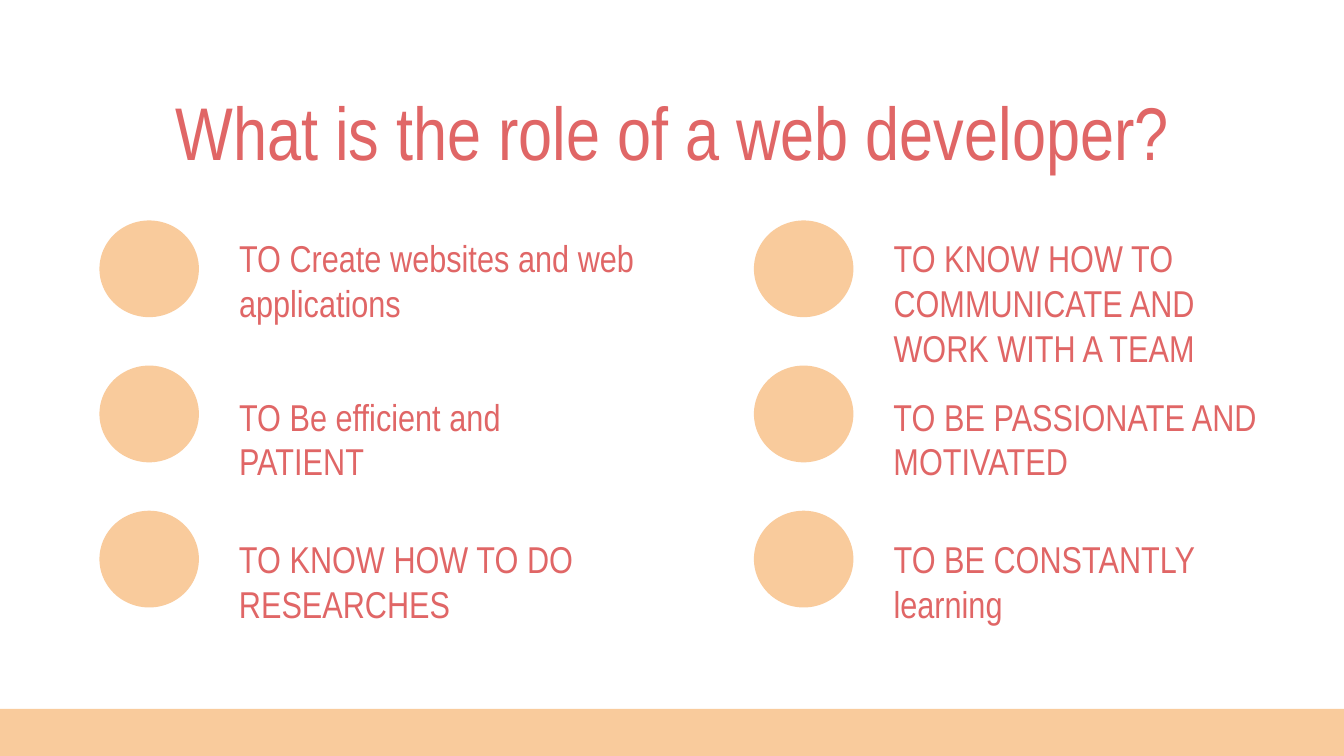
import pptx
import pptx.util
import pptx.dml.color
import pptx.enum.shapes
import pptx.enum.text

Inches = pptx.util.Inches
SHAPES = pptx.enum.shapes.MSO_SHAPE
ALIGN = pptx.enum.text.PP_ALIGN
WIDTH = 10
HEIGHT = WIDTH * 9 / 16
CORAL, PEACH, WHITE = "E06666", "F9CB9C", "FFFFFF"
FONT = "Arial Narrow"

ROW_TOP, ROW_STEP = 1.64, 1.08
DOT_WIDTH, DOT_HEIGHT = 0.74, 0.72
TEXT_INDENT = 0.94
TEXT_DROPS = (0.01, 0.11, 0.09)
TEXT_HEIGHTS = (0.73, 0.43, 0.43)

COLUMNS = (
    (0.74, (
        ("TO Create websites and web applications", 3.42),
        ("TO Be efficient and PATIENT", 2.91),
        ("TO KNOW HOW TO DO RESEARCHES", 3.03),
    )),
    (5.61, (
        ("TO KNOW HOW TO COMMUNICATE AND WORK WITH A TEAM", 2.91),
        ("TO BE PASSIONATE AND MOTIVATED", 3.13),
        ("TO BE CONSTANTLY learning", 2.91),
    )),
)


def set_fill(fill, color):
    """Apply a solid hex colour to a fill."""
    fill.solid()
    fill.fore_color.rgb = pptx.dml.color.RGBColor.from_string(color)


def add_block(slide, kind, box, color):
    """Add a plain filled shape without outline or shadow."""
    shape = slide.shapes.add_shape(kind, *map(Inches, box))
    shape.shadow.inherit = False
    set_fill(shape.fill, color)
    shape.line.fill.background()


def add_text(slide, box, text, size, align=ALIGN.LEFT, space_after=0):
    """Add a wrapped, top-anchored text box with one run."""
    frame = slide.shapes.add_textbox(*map(Inches, box)).text_frame
    frame.word_wrap = True
    frame.vertical_anchor = pptx.enum.text.MSO_ANCHOR.TOP
    frame.margin_left = frame.margin_right = Inches(0.1)
    frame.margin_top = frame.margin_bottom = Inches(0.1)
    paragraph = frame.paragraphs[0]
    paragraph.alignment = align
    paragraph.space_after = pptx.util.Pt(space_after)
    run = paragraph.add_run()
    run.text = text
    run.font.name = FONT
    run.font.size = pptx.util.Pt(size)
    set_fill(run.font.fill, CORAL)


def add_role(slide, left, top, row, text, width):
    """Add a dot and its label, measured from the row's top left corner."""
    add_block(slide, SHAPES.OVAL, (left, top, DOT_WIDTH, DOT_HEIGHT), PEACH)
    label = (left + TEXT_INDENT, top + TEXT_DROPS[row], width, TEXT_HEIGHTS[row])
    add_text(slide, label, text, 20, space_after=16)


def add_roles(slide, left, top, roles):
    """Stack one column of roles at equal steps."""
    for row, (text, width) in enumerate(roles):
        add_role(slide, left, top + row * ROW_STEP, row, text, width)


def build_slide(presentation):
    """Build the slide with its footer band, title and two columns."""
    slide = presentation.slides.add_slide(presentation.slide_layouts[6])
    set_fill(slide.background.fill, WHITE)
    band = 0.35
    add_block(slide, SHAPES.RECTANGLE, (0, HEIGHT - band, WIDTH, band), PEACH)
    add_text(slide, (0.75, 0.54, WIDTH - 1.5, 0.73),
             "What\u00a0is the role of a web developer?", 40, ALIGN.CENTER)
    for left, roles in COLUMNS:
        add_roles(slide, left, ROW_TOP, roles)


presentation = pptx.Presentation()
presentation.slide_width = Inches(WIDTH)
presentation.slide_height = Inches(HEIGHT)
build_slide(presentation)
presentation.save("out.pptx")
